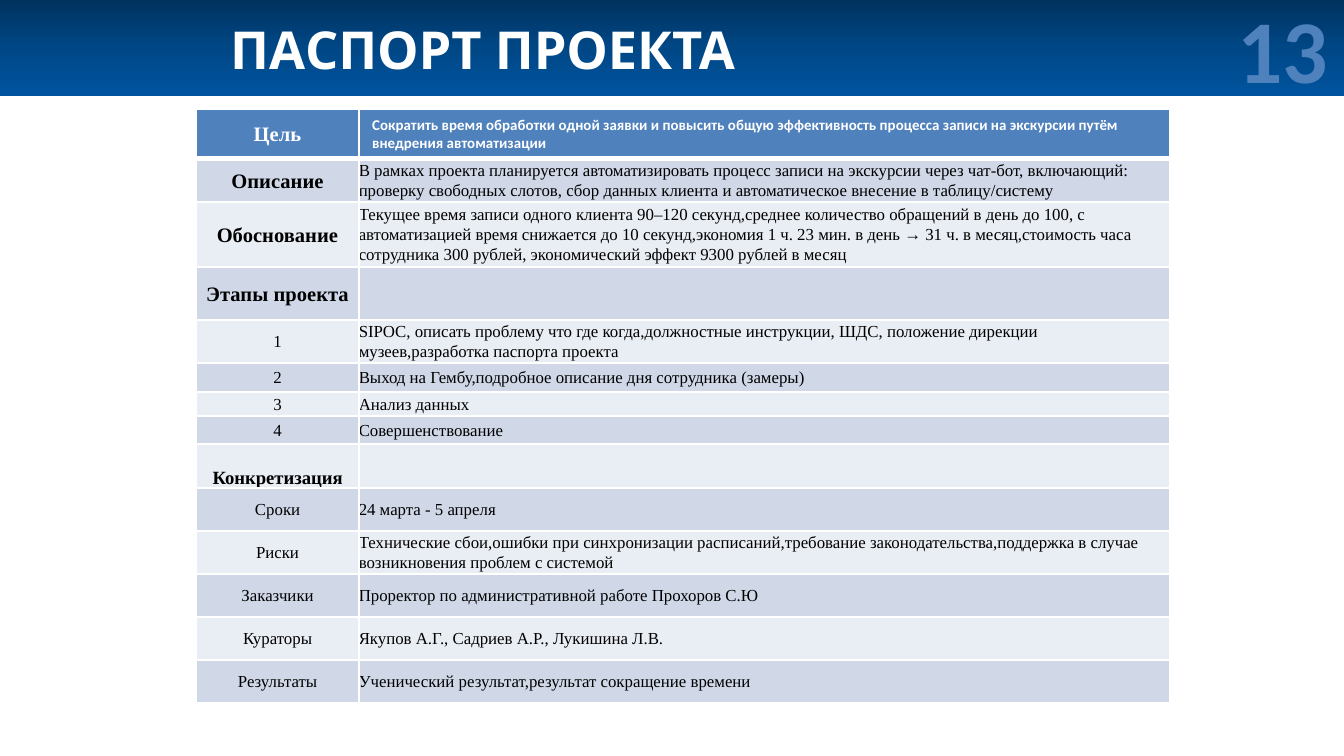
import copy

import pptx
import pptx.dml.color
import pptx.enum.shapes
import pptx.enum.text
import pptx.oxml
import pptx.oxml.ns
import pptx.util

Cm = pptx.util.Cm
Pt = pptx.util.Pt
ALIGN = pptx.enum.text.PP_ALIGN
ANCHOR = pptx.enum.text.MSO_ANCHOR
SERIF = "Times New Roman"
BLUE = "4F81BD"
BANDS = ("E9EDF4", "D0D8E8")
COLUMN_WIDTHS = (3.07, 15.32)

# Row height in cm, label, label size, text.
ROWS = [
    (0.94, "Цель", 11, "Сократить время обработки одной заявки и повысить общую эффективность "
     "процесса записи на экскурсии путём внедрения автоматизации"),
    (0.82, "Описание", 11, "В рамках проекта планируется автоматизировать процесс записи на "
     "экскурсии через чат-бот, включающий: проверку свободных слотов, сбор данных клиента и "
     "автоматическое внесение в таблицу/систему"),
    (1.21, "Обоснование", 11, "Текущее время записи одного клиента 90–120 секунд,cреднее "
     "количество обращений в день до 100, c автоматизацией время снижается до 10 "
     "секунд,экономия 1 ч. 23 мин. в день → 31 ч. в месяц,стоимость часа сотрудника 300 "
     "рублей, экономический эффект 9300 рублей в месяц"),
    (1, "Этапы проекта", 11, ""),
    (0.82, "1", 9, "SIPOC, описать проблему что где когда,должностные инструкции, ШДС, "
     "положение дирекции музеев,разработка паспорта проекта"),
    (0.54, "2", 9, "Выход на Гембу,подробное описание дня сотрудника (замеры)"),
    (0.46, "3", 9, "Анализ данных"),
    (0.53, "4", 9, "Совершенствование"),
    (0.83, "Конкретизация", 10, ""),
    (0.81, "Сроки", 9, "24 марта - 5 апреля"),
    (0.81, "Риски", 9, "Технические сбои,ошибки при синхронизации расписаний,требование "
     "законодательства,поддержка в случае возникновения проблем с системой"),
    (0.81, "Заказчики", 9, "Проректор по административной работе Прохоров С.Ю"),
    (0.81, "Кураторы", 9, "Якупов А.Г., Садриев А.Р., Лукишина Л.В."),
    (0.81, "Результаты", 9, "Ученический результат,результат сокращение времени"),
]


def rgb(value):
    """Turn a hex string into a colour."""
    return pptx.dml.color.RGBColor.from_string(value)


def write(tf, text, size=9, font=SERIF, color="000000", bold=False, align=ALIGN.LEFT, spacing=None):
    """Write one formatted paragraph into a text frame."""
    p = tf.paragraphs[0]
    p.alignment = align
    p.line_spacing = spacing
    r = p.add_run()
    r.text = text
    r.font.size = Pt(size)
    r.font.name = font
    r.font.bold = bold
    r.font.color.rgb = rgb(color)


def add_text(s, left, top, width, height, text, wrap=True, **style):
    """Add a text box."""
    tf = s.shapes.add_textbox(Cm(left), Cm(top), Cm(width), Cm(height)).text_frame
    tf.word_wrap = wrap
    write(tf, text, **style)


def add_banner(s, width, height, colors):
    """Add the top band with an evenly stepped vertical gradient."""
    sp = s.shapes.add_shape(pptx.enum.shapes.MSO_SHAPE.RECTANGLE, 0, 0, Cm(width), Cm(height))
    sp.shadow.inherit = False
    sp.line.fill.background()
    sp.fill.gradient()
    sp.fill.gradient_angle = 270
    stops = sp._element.xpath(".//a:gsLst")[0]
    for _ in colors[2:]:
        stops.insert(1, copy.deepcopy(stops[0]))
    for i, (stop, color) in enumerate(zip(sp.fill.gradient_stops, colors)):
        stop.position = i / (len(colors) - 1)
        stop.color.rgb = rgb(color)


def set_borders(cell, top=1, bottom=1):
    """Give a cell white borders with widths in points."""
    tc_pr = cell._tc.get_or_add_tcPr()
    for i, (side, width) in enumerate((("L", 1), ("R", 1), ("T", top), ("B", bottom))):
        ln = pptx.oxml.parse_xml(
            f'<a:ln{side} {pptx.oxml.ns.nsdecls("a")} w="{Pt(width)}">'
            f'<a:solidFill><a:srgbClr val="FFFFFF"/></a:solidFill></a:ln{side}>')
        tc_pr.insert(i, ln)


def fill_cell(cell, text, fill, anchor=ANCHOR.MIDDLE, inset=True, **style):
    """Fill a cell and write its text."""
    cell.fill.solid()
    cell.fill.fore_color.rgb = rgb(fill)
    cell.vertical_anchor = anchor
    if not inset:
        cell.margin_left = cell.margin_right = cell.margin_top = cell.margin_bottom = 0
    if text:
        write(cell.text_frame, text, **style)


def add_passport(s, left, top):
    """Add the project passport table."""
    heights = [row[0] for row in ROWS]
    table = s.shapes.add_table(len(ROWS), 2, Cm(left), Cm(top),
                               Cm(sum(COLUMN_WIDTHS)), Cm(sum(heights))).table
    for column, width in zip(table.columns, COLUMN_WIDTHS):
        column.width = Cm(width)
    for i, (height, label, size, text) in enumerate(ROWS):
        table.rows[i].height = Cm(height)
        head = i == 0
        fill = BLUE if head else BANDS[i % 2]
        color = "FFFFFF" if head else "000000"
        name, value = table.cell(i, 0), table.cell(i, 1)
        fill_cell(name, label, fill, ANCHOR.BOTTOM if size == 10 else ANCHOR.MIDDLE, inset=False,
                  size=size, color=color, bold=size > 9, align=ALIGN.CENTER, spacing=1.07)
        if head:
            fill_cell(value, text, fill, ANCHOR.TOP, size=8, font="Calibri", color=color, bold=True)
        else:
            fill_cell(value, text, fill, inset=False, spacing=1.07)
        for cell in (name, value):
            set_borders(cell, top=3 if i == 1 else 1, bottom=3 if head else 1)


def main():
    """Build the slide."""
    prs = pptx.Presentation()
    prs.slide_width, prs.slide_height = Cm(25.4), Cm(14.29)
    s = prs.slides.add_slide(prs.slide_layouts[6])
    add_banner(s, 25.4, 1.81, ("00325E", "004786", "00549F"))
    add_text(s, 4.1, 0.2, 20.4, 1.45, "ПАСПОРТ ПРОЕКТА",
             size=28, font="Karla", color="FFFFFF", bold=True)
    add_text(s, 23.12, -0.23, 2.24, 2.31, "13", wrap=False,
             size=48, font="Calibri", color=BLUE, bold=True, align=ALIGN.CENTER)
    add_passport(s, 3.71, 2.06)
    prs.save("out.pptx")


if __name__ == "__main__":
    main()
